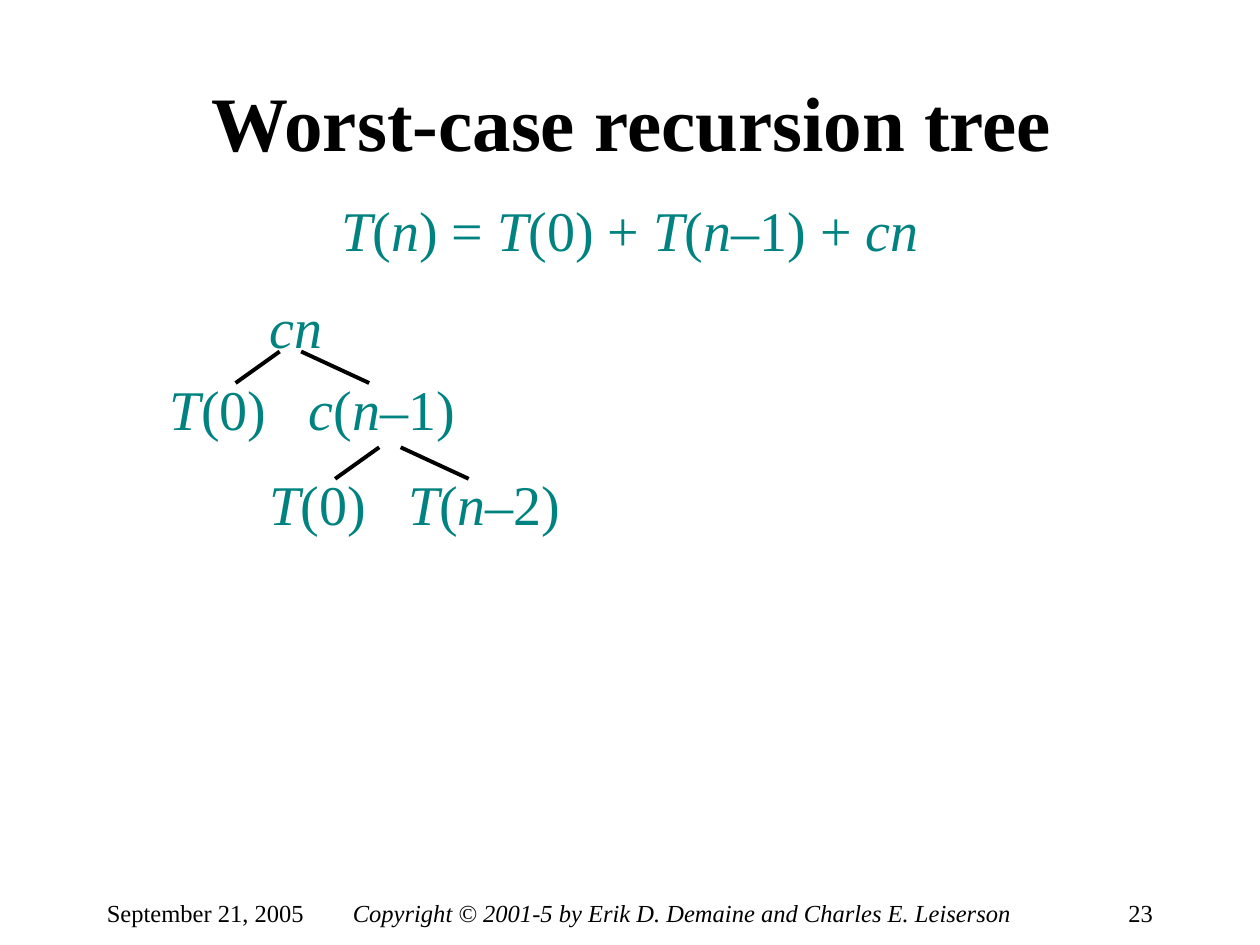
from itertools import groupby

from lxml import etree
from pptx import Presentation
from pptx import util as u
from pptx.dml.color import RGBColor
from pptx.enum import shapes, text

TEAL = RGBColor(0x00, 0x83, 0x80)
BLACK = RGBColor(0, 0, 0)
WHITE = RGBColor(255, 255, 255)
LEFT, MID, RIGHT = text.PP_ALIGN.LEFT, text.PP_ALIGN.CENTER, text.PP_ALIGN.RIGHT
DRAW = "{http://schemas.openxmlformats.org/drawingml/2006/main}"


def inch(*nums):
    return [u.Inches(num) for num in nums]


class Page:
    font = "Times New Roman"

    def __init__(self, slide):
        self.slide = slide

    def run(self, para, words, color, **form):
        run = para.add_run()
        run.text = words
        run.font.color.rgb = color
        for key, val in {"name": self.font, **form}.items():
            setattr(run.font, key, val)

    def frame(self, shape, **form):
        base = {"margin_left": u.Inches(0.1), "margin_right": u.Inches(0.1),
                "margin_top": u.Inches(0.05), "margin_bottom": u.Inches(0.05),
                "vertical_anchor": text.MSO_ANCHOR.TOP,
                "auto_size": text.MSO_AUTO_SIZE.NONE, "word_wrap": True}
        for key, val in {**base, **form}.items():
            setattr(shape.text_frame, key, val)
        return shape.text_frame.paragraphs[0]

    def title(self, words, box):
        shape = self.slide.shapes.title
        for key, val in zip(("left", "top", "width", "height"), inch(*box)):
            setattr(shape, key, val)
        para = self.frame(shape, vertical_anchor=text.MSO_ANCHOR.MIDDLE)
        para.alignment = LEFT
        self.run(para, words, BLACK, size=u.Pt(44), bold=True)

    def math(self, shape, words, align):
        """Write a formula with its letters in italics."""
        para = self.frame(shape, word_wrap=False,
                          auto_size=text.MSO_AUTO_SIZE.SHAPE_TO_FIT_TEXT)
        para.alignment = align
        for slant, part in groupby(words, str.isalpha):
            self.run(para, "".join(part), TEAL, size=u.Pt(32), italic=slant)

    def rule(self, words, box):
        self.math(self.slide.shapes.add_textbox(*inch(*box)), words, MID)

    def node(self, words, left, top, width, align=LEFT):
        shape = self.slide.shapes.add_shape(
            shapes.MSO_SHAPE.RECTANGLE, *inch(left, top, width, 0.64))
        shape.shadow.inherit = False
        shape.fill.solid()
        shape.fill.fore_color.rgb = WHITE
        shape.line.fill.background()
        self.math(shape, words, align)

    def branch(self, start, end):
        line = self.slide.shapes.add_connector(
            shapes.MSO_CONNECTOR.STRAIGHT, *inch(*start, *end))
        line.line.color.rgb = BLACK
        line.line.width = u.Pt(2.25)
        etree.SubElement(line._element.spPr, DRAW + "effectLst")

    def foot(self, words, left, width, align, slant=False):
        shape = self.slide.shapes.add_textbox(*inch(left, 7.08, width, 0.25))
        para = self.frame(shape)
        para.alignment = align
        self.run(para, words, BLACK, size=u.Pt(14), italic=slant)


def main():
    deck = Presentation()
    deck.slide_width, deck.slide_height = inch(10, 7.5)
    page = Page(deck.slides.add_slide(deck.slide_layouts[5]))

    page.title("Worst-case recursion tree", (1.58, 0.33, 8.25, 1.25))
    page.rule("T(n) = T(0) + T(n–1) + cn", (2.59, 1.5, 4.82, 0.64))

    page.node("cn", 2.04, 2.27, 0.62, MID)
    # Each level of the tree sits one step right and down from the last.
    for level, (words, width) in enumerate([("c(n–1)", 1.37), ("T(n–2)", 1.42)]):
        right, down = 0.79 * level, 0.76 * level
        page.node("T(0)", 1.25 + right, 2.92 + down, 0.98)
        page.node(words, 2.35 + right, 2.92 + down, width)
        for low, high in ((1.87, 2.22), (2.93, 2.39)):
            page.branch((low + right, 3.04 + down), (high + right, 2.79 + down))

    page.foot("September 21, 2005", 0.75, 1.83, LEFT)
    page.foot("Copyright © 2001-5 by Erik D. Demaine and Charles E. Leiserson",
              2.58, 5.67, MID, True)
    page.foot("23", 8.42, 0.83, RIGHT)
    deck.save("out.pptx")


if __name__ == "__main__":
    main()
